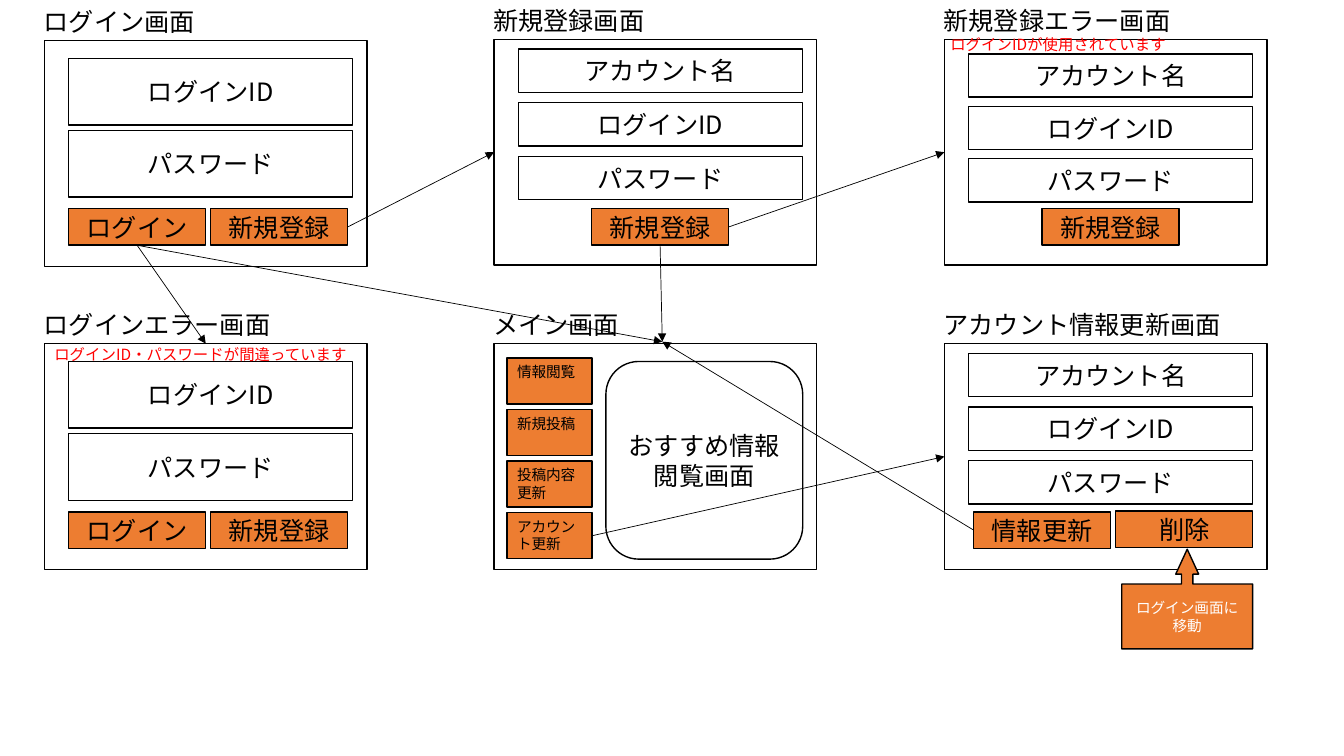
"""Build the screen transition diagram of a login, posting and account app."""
import pptx
import pptx.util
import pptx.dml.color
import pptx.enum.shapes
import pptx.enum.text
import pptx.oxml
import pptx.oxml.ns
import lxml.etree

Cm = pptx.util.Cm
SHAPE = pptx.enum.shapes.MSO_SHAPE
ALIGN = pptx.enum.text.PP_ALIGN
ANCHOR = pptx.enum.text.MSO_ANCHOR
COLORS = {"paper": "FFFFFF", "ink": "000000", "button": "ED7D31", "error": "FF0000"}
TOP, LEFT, BOTTOM, RIGHT = range(4)


class Screens:
    """Draws screen parts on the current slide in one style."""

    font = "Noto Sans CJK JP"
    field_left, field_width = 0.61, 7.16
    button_size = (3.45, 0.92)

    def __init__(self, slide):
        self.slide = slide

    def color(self, name):
        return pptx.dml.color.RGBColor.from_string(COLORS[name])

    def set_text(self, frame, text, size, color, align):
        frame.word_wrap = True
        paragraph = frame.paragraphs[0]
        paragraph.text = text
        paragraph.alignment = align
        paragraph.font.size = pptx.util.Pt(size)
        paragraph.font.name = self.font
        paragraph.font.color.rgb = self.color(color)
        qn = pptx.oxml.ns.qn
        defaults = paragraph._p.pPr.find(qn("a:defRPr"))
        lxml.etree.SubElement(defaults, qn("a:ea"), typeface=self.font)

    def box(self, x, y, width, height, text="", fill="paper", kind=SHAPE.RECTANGLE,
            size=18, color="ink", align=ALIGN.CENTER, anchor=ANCHOR.MIDDLE):
        shape = self.slide.shapes.add_shape(kind, Cm(x), Cm(y), Cm(width), Cm(height))
        shape.shadow.inherit = False
        shape.fill.solid()
        shape.fill.fore_color.rgb = self.color(fill)
        shape.line.color.rgb = self.color("ink")
        shape.line.width = pptx.util.Pt(1)
        shape.text_frame.vertical_anchor = anchor
        if text:
            self.set_text(shape.text_frame, text, size, color, align)
        return shape

    def label(self, x, y, width, height, text, size=18, color="ink"):
        box = self.slide.shapes.add_textbox(Cm(x), Cm(y), Cm(width), Cm(height))
        self.set_text(box.text_frame, text, size, color, ALIGN.LEFT)

    def screen(self, x, y, title):
        self.label(x - 0.27, y - 0.98, 8, 1.02, title)
        return self.box(x, y, 8.13, 5.69)

    def fields(self, x, y, pitch, height, names):
        for row, name in enumerate(names):
            self.box(x + self.field_left, y + row * pitch, self.field_width, height, name)

    def button(self, x, y, text):
        return self.box(x, y, *self.button_size, text, "button")

    def message(self, x, y, text):
        self.label(x, y, 9, 0.74, text, 11, "error")

    def arrow(self, start, side, goal, goal_side=None):
        end = (0, 0) if goal_side is not None else goal
        line = self.slide.shapes.add_connector(
            pptx.enum.shapes.MSO_CONNECTOR.STRAIGHT, 0, 0, *map(Cm, end))
        line.begin_connect(start, side)
        if goal_side is not None:
            line.end_connect(goal, goal_side)
        line.line.color.rgb = self.color("ink")
        line.line.width = pptx.util.Pt(0.5)
        qn = pptx.oxml.ns.qn
        properties = line._element.spPr
        lxml.etree.SubElement(properties.find(qn("a:ln")), qn("a:tailEnd"), type="triangle")
        lxml.etree.SubElement(properties, qn("a:effectLst"))


deck = pptx.Presentation()
deck.slide_width, deck.slide_height = Cm(33.87), Cm(19.05)
draw = Screens(deck.slides.add_slide(deck.slide_layouts[6]))

login_x, center_x, right_x = 1.12, 12.45, 23.8
upper_y, lower_y = 0.99, 8.66
LOGIN_FIELDS = ("ログインID", "パスワード")
ACCOUNT_FIELDS = ("アカウント名",) + LOGIN_FIELDS

login_screens = []
for y, title in ((upper_y + 0.03, "ログイン画面"), (lower_y, "ログインエラー画面")):
    frame = draw.screen(login_x, y, title)
    draw.fields(login_x, y + 0.45, 1.82, 1.68, LOGIN_FIELDS)
    login = draw.button(login_x + 0.61, y + 4.24, "ログイン")
    sign_up = draw.button(login_x + 4.19, y + 4.24, "新規登録")
    login_screens.append((frame, login, sign_up))
draw.message(login_x, lower_y - 0.08, "ログインID・パスワードが間違っています")

account_frames = []
for x, y, title, first, pitch in (
        (center_x, upper_y, "新規登録画面", 0.25, 1.35),
        (right_x, upper_y, "新規登録エラー画面", 0.37, 1.32),
        (right_x, lower_y, "アカウント情報更新画面", 0.25, 1.35)):
    account_frames.append(draw.screen(x, y, title))
    draw.fields(x, y + first, pitch, 1.09, ACCOUNT_FIELDS)
register_frame, register_error_frame, account_frame = account_frames
register, _ = [draw.button(x + 2.46, upper_y + 4.27, "新規登録")
               for x in (center_x, right_x)]
draw.message(right_x - 0.1, upper_y - 0.23, "ログインIDが使用されています")
update = draw.button(right_x + 0.74, lower_y + 4.24, "情報更新")
draw.button(right_x + 4.32, lower_y + 4.22, "削除")

draw.screen(center_x, lower_y, "メイン画面")
for row, entry in enumerate(("情報閲覧", "新規投稿", "投稿内容更新", "アカウント更新")):
    account_menu = draw.box(center_x + 0.33, lower_y + 0.36 + row * 1.3, 2.14, 1.16,
                            entry, "button", size=10.5, align=ALIGN.LEFT, anchor=ANCHOR.TOP)
draw.box(center_x + 2.82, lower_y + 0.45, 4.96, 4.98, "おすすめ情報閲覧画面",
         kind=SHAPE.ROUNDED_RECTANGLE)

main_entry = (16.69, 8.61)
(_, login, sign_up), (login_error_frame, _, _) = login_screens
draw.arrow(login, BOTTOM, login_error_frame, TOP)
draw.arrow(sign_up, RIGHT, register_frame, LEFT)
draw.arrow(register, RIGHT, register_error_frame, LEFT)
draw.arrow(account_menu, RIGHT, account_frame, LEFT)
for start, side in ((login, BOTTOM), (register, BOTTOM), (update, LEFT)):
    draw.arrow(start, side, main_entry)

return_note = draw.box(28.27, 13.84, 3.3, 2.51, "ログイン画面に移動", "button",
                       SHAPE.UP_ARROW_CALLOUT, 10.5, "paper")
for index, ratio in enumerate((0.115, 0.115, 0.25, 0.65)):
    return_note.adjustments[index] = ratio

deck.save("out.pptx")
